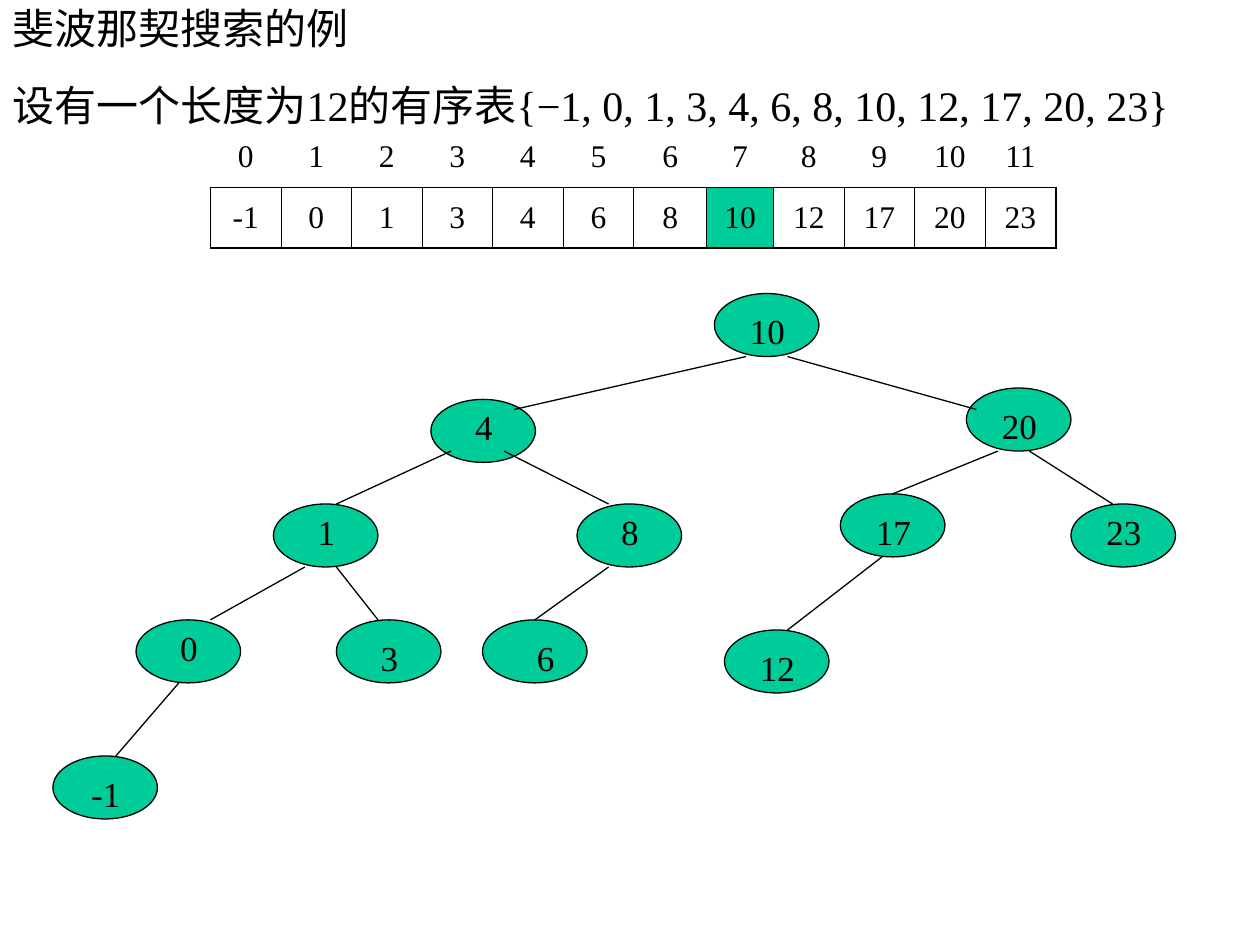
from lxml import etree
from pptx import Presentation
from pptx.dml.color import RGBColor
from pptx.enum.shapes import MSO_CONNECTOR, MSO_SHAPE
from pptx.enum.text import MSO_ANCHOR, MSO_AUTO_SIZE, PP_ALIGN
from pptx.oxml.ns import qn
from pptx.util import Inches, Pt

OVAL = MSO_SHAPE.OVAL
STRAIGHT = MSO_CONNECTOR.STRAIGHT
TOP, MIDDLE = MSO_ANCHOR.TOP, MSO_ANCHOR.MIDDLE
LEFT, CENTER = PP_ALIGN.LEFT, PP_ALIGN.CENTER
NO_FIT = MSO_AUTO_SIZE.NONE
GROW = MSO_AUTO_SIZE.SHAPE_TO_FIT_TEXT

COLORS = {"ink": "000000", "node": "00CC99"}
VALUES = [-1, 0, 1, 3, 4, 6, 8, 10, 12, 17, 20, 23]
ROOT = 10
THIN, THICK = 0.45, 1.08
LABEL_DX = 0.17

NODES = {
    10: (5.67, 2.33, 0.08),
    4: (3.42, 3.17, 0),
    20: (7.67, 3.08, 0.08),
    1: (2.17, 4, 0),
    8: (4.58, 4, 0),
    17: (6.67, 3.92, 0.08),
    23: (8.5, 4, 0),
    0: (1.08, 4.92, 0),
    3: (2.67, 4.92, 0.08),
    6: (3.83, 4.92, 0.08),
    12: (5.75, 5, 0.08),
    -1: (0.42, 6, 0.08),
}
LABEL_DX_BY_NODE = {6: 0.25}

EDGES = [
    ((5.92, 2.83), (4.08, 3.25), None),
    ((6.25, 2.83), (7.75, 3.25), None),
    ((7.92, 3.58), (7.08, 3.92), 17),
    ((8.17, 3.58), (8.83, 4), None),
    ((7, 4.42), (6.25, 5), None),
    ((4, 3.58), (4.83, 4), None),
    ((4.83, 4.5), (4.25, 4.92), 6),
    ((2.67, 4.5), (3, 4.92), None),
    ((2.42, 4.5), (1.67, 4.92), None),
    ((1.42, 5.42), (0.92, 6), None),
    ((3.58, 3.58), (2.67, 4), None),
]


class SlideBuilder:
    font = "Times New Roman"
    line_width = Pt(0.75)

    def __init__(self, s):
        self.s = s

    def color(self, name):
        return RGBColor.from_string(COLORS[name])

    def add_text(self, tf, text, size, align, before=0):
        p = tf.paragraphs[0]
        p.alignment = align
        p.space_before = Pt(before)
        r = p.add_run()
        r.text = text
        r.font.size = Pt(size)
        r.font.name = self.font
        r.font.color.rgb = self.color("ink")
        return p

    def placeholder(self, idx, box, text, anchor):
        sp = self.s.placeholders[idx]
        sp.left, sp.top, sp.width, sp.height = map(Inches, box)
        tf = sp.text_frame
        tf.word_wrap = True
        tf.auto_size = NO_FIT
        tf.vertical_anchor = anchor
        return self.add_text(tf, text, 24, LEFT)

    def title(self, text, box):
        self.placeholder(0, box, text, MIDDLE)

    def body(self, text, box, hanging):
        p = self.placeholder(1, box, text, TOP)
        pPr = p._p.get_or_add_pPr()
        pPr.set("marL", str(Inches(hanging)))
        pPr.set("indent", str(-Inches(hanging)))
        etree.SubElement(pPr, qn("a:buNone"))

    def border(self, cell, side, width):
        tcPr = cell._tc.get_or_add_tcPr()
        ln = etree.SubElement(tcPr, qn(f"a:ln{side}"))
        if not width:
            etree.SubElement(ln, qn("a:noFill"))
            return
        ln.set("w", str(Pt(width)))
        fill = etree.SubElement(ln, qn("a:solidFill"))
        etree.SubElement(fill, qn("a:srgbClr")).set("val", COLORS["ink"])

    def cell(self, cell, text, widths, fill=None):
        cell.vertical_anchor = MIDDLE
        self.add_text(cell.text_frame, text, 18, CENTER, 4.5)
        for side, width in zip("LRTB", widths):
            self.border(cell, side, width)
        if fill:
            cell.fill.solid()
            cell.fill.fore_color.rgb = self.color(fill)
        else:
            cell.fill.background()

    def array_table(self, values, marked, box):
        last = len(values) - 1
        frame = self.s.shapes.add_table(2, len(values), *map(Inches, box))
        table = frame.table
        table.first_row = table.horz_banding = False
        for i, value in enumerate(values):
            table.columns[i].width = Inches({6: 0.58, 7: 0.53}.get(i, 0.56))
            self.cell(table.cell(0, i), str(i), (0, 0, 0, THIN))
            widths = (THIN if i else THICK, THICK if i == last else THIN, THIN, THICK)
            self.cell(table.cell(1, i), str(value), widths, "node" if value == marked else None)

    def node(self, x, y):
        sp = self.s.shapes.add_shape(OVAL, *map(Inches, (x, y, 0.83, 0.5)))
        sp.shadow.inherit = False
        sp.fill.solid()
        sp.fill.fore_color.rgb = self.color("node")
        sp.line.color.rgb = self.color("ink")
        sp.line.width = self.line_width
        return sp

    def label(self, text, x, y):
        sp = self.s.shapes.add_textbox(*map(Inches, (x, y, 0.5, 0.44)))
        tf = sp.text_frame
        tf.word_wrap = True
        tf.auto_size = GROW
        self.add_text(tf, text, 20, CENTER, 12.5)

    def edge(self, start, end, child=None):
        cx = self.s.shapes.add_connector(STRAIGHT, *map(Inches, start + end))
        cx.line.color.rgb = self.color("ink")
        cx.line.width = self.line_width
        etree.SubElement(cx._element.spPr, qn("a:effectLst"))
        if child is not None:
            cx.end_connect(child, 0)


def main():
    prs = Presentation()
    prs.slide_width, prs.slide_height = Inches(10), Inches(7.5)
    slide = SlideBuilder(prs.slides.add_slide(prs.slide_layouts[1]))

    slide.title("斐波那契搜索的例", (0, 0, 8.5, 0.44))
    listing = ", ".join(str(v).replace("-", "−") for v in VALUES)
    slide.body(f"设有一个长度为12的有序表{{{listing}}}", (0, 0.58, 9.58, 6.42), 0.38)
    slide.array_table(VALUES, ROOT, (1.67, 1, 6.67, 0.97))

    ovals = {value: slide.node(x, y) for value, (x, y, _) in NODES.items()}
    for value, (x, y, dy) in NODES.items():
        slide.label(str(value), x + LABEL_DX_BY_NODE.get(value, LABEL_DX), y + dy)
    for start, end, child in EDGES:
        slide.edge(start, end, ovals.get(child))

    prs.save("out.pptx")


if __name__ == "__main__":
    main()
